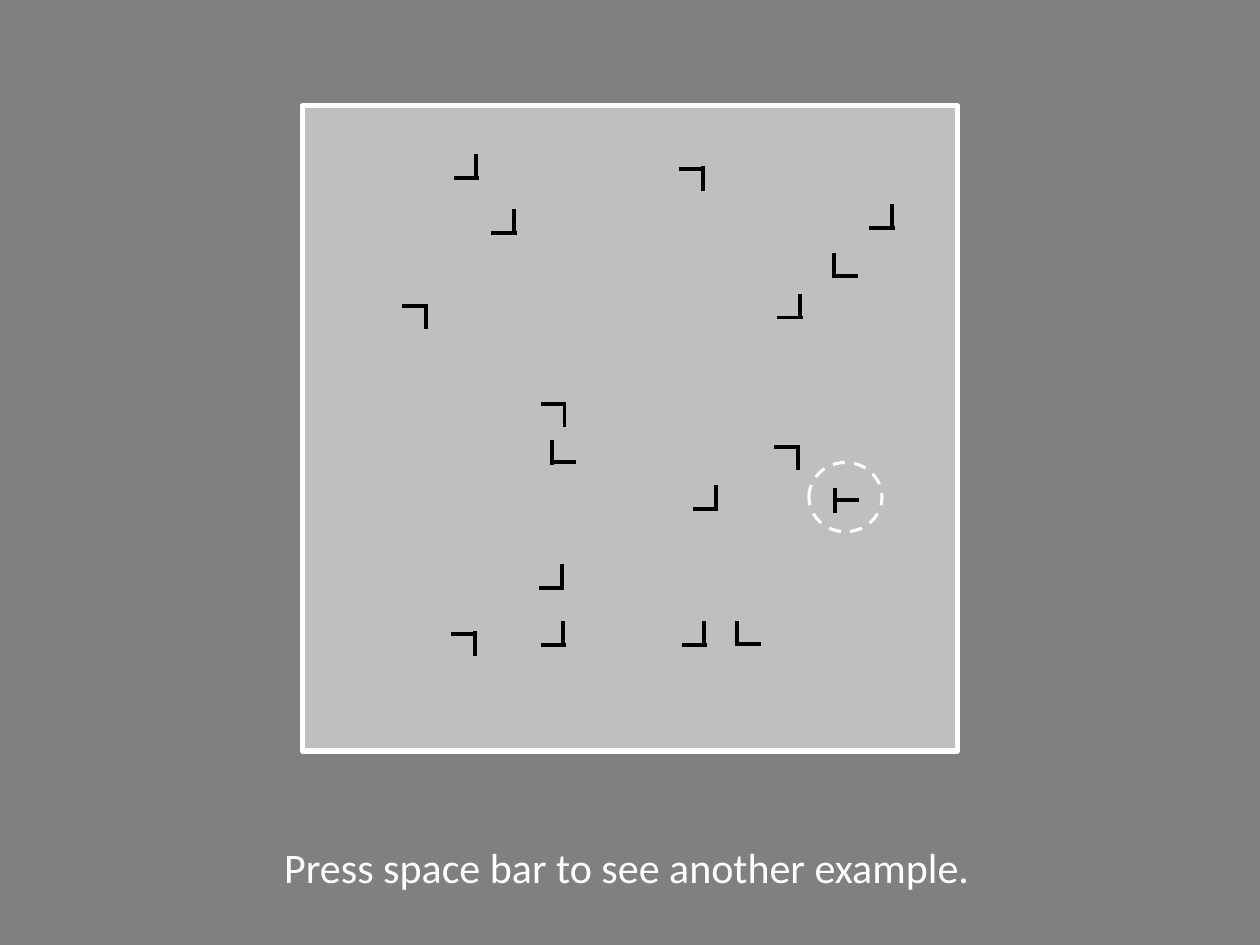
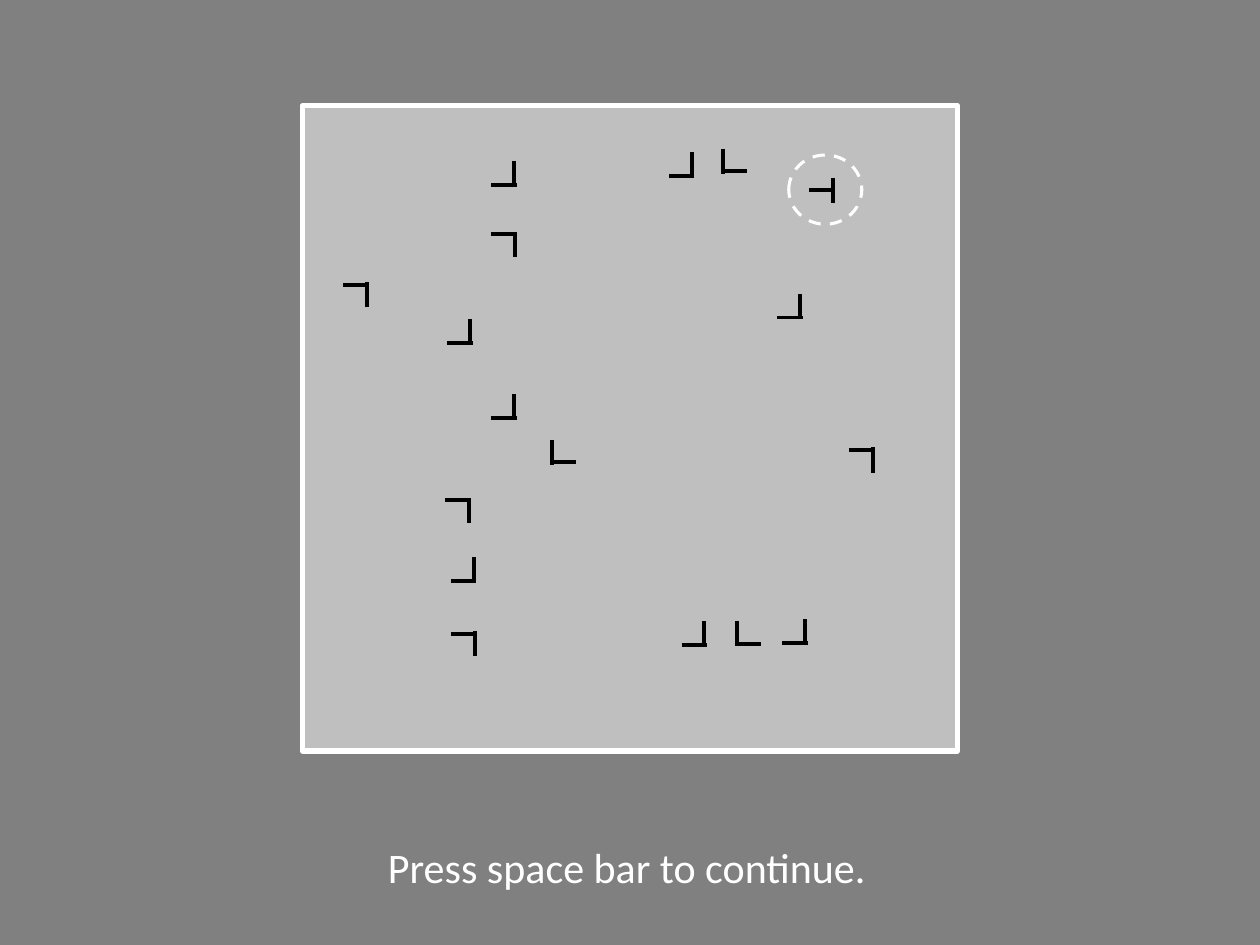
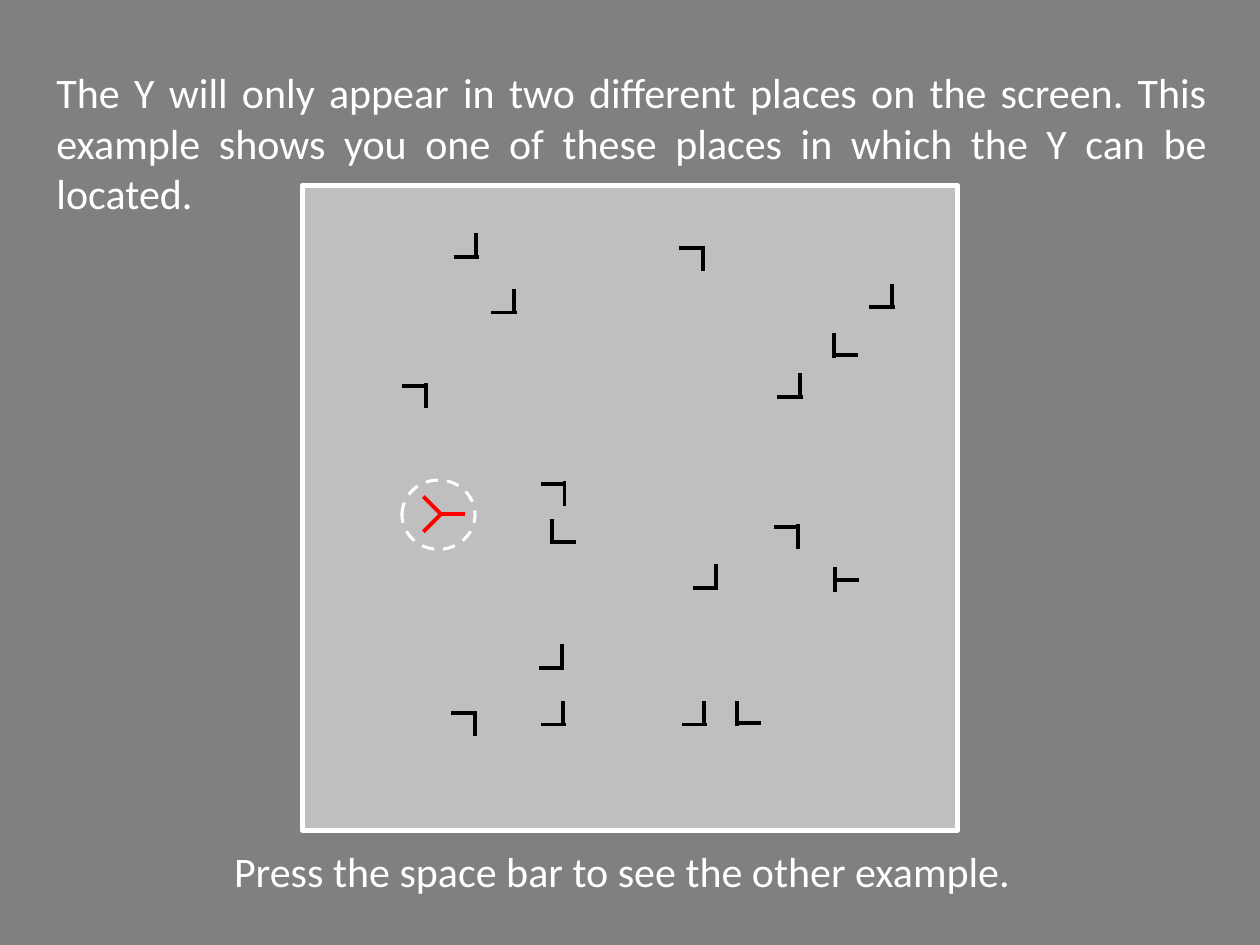
from dataclasses import dataclass

from lxml.etree import SubElement
from pptx import Presentation
from pptx.dml.color import RGBColor
from pptx.enum.dml import MSO_LINE
from pptx.enum.shapes import MSO_CONNECTOR, MSO_SHAPE
from pptx.enum.text import MSO_ANCHOR, MSO_AUTO_SIZE, PP_ALIGN
from pptx.oxml.ns import qn
from pptx.util import Inches, Pt


@dataclass(frozen=True)
class Theme:
    background: RGBColor = RGBColor(0x80, 0x80, 0x80)
    panel: RGBColor = RGBColor(0xBF, 0xBF, 0xBF)
    light: RGBColor = RGBColor(0xFF, 0xFF, 0xFF)
    mark: RGBColor = RGBColor(0, 0, 0)
    target: RGBColor = RGBColor(0xFF, 0, 0)
    font: str = "Calibri"
    text_size: Pt = Pt(24)
    panel_line: Pt = Pt(3)
    ring_line: Pt = Pt(1.75)
    mark_line: Pt = Pt(2.25)


THEME = Theme()
CELL = Inches(0.01)
COLUMNS, ROWS = 1000, 750
PANEL_LEFT, PANEL_TOP, PANEL_SIZE = 240, 84, (520, 512)
LOW_PANEL_TOP = 147
RING_SIZE = (58, 55)
TEXT_WIDTH, PROMPT_LEFT, PROMPT_HEIGHT = 933, 31, 50

STROKES = {
    "┐": [(20, 2, 0, 2), (19, 20, 19, 0)],
    "┘": [(18, 20, 18, 0), (0, 19, 20, 19)],
    "└": [(0, 18, 20, 18), (1, 0, 1, 20)],
    "├": [(0, 10, 20, 10), (1, 0, 1, 20)],
    "┤": [(20, 10, 0, 10), (19, 0, 19, 20)],
    "Y": [(13, 14, 33, 14), (14, 14, 0, 0), (0, 28, 14, 14)],
}

FIRST_DISPLAY = {
    "┐": [(79, 157), (299, 48), (189, 235), (374, 269), (118, 417)],
    "┘": [(120, 38), (450, 78), (310, 301), (188, 364), (189, 409),
          (301, 409), (150, 82), (377, 149)],
    "└": [(421, 117), (344, 409), (197, 265)],
    "├": [(422, 303)],
}
SECOND_DISPLAY = {
    "┐": [(32, 140), (434, 271), (150, 100), (113, 311), (118, 417)],
    "┘": [(150, 44), (291, 37), (381, 407), (118, 358), (150, 229),
          (301, 409), (115, 169), (377, 149)],
    "└": [(333, 34), (344, 409), (197, 265)],
    "┤": [(402, 57)],
}
Y_DISPLAY = {**FIRST_DISPLAY, "Y": [(96, 247)]}


def cells(*values):
    return [v * CELL for v in values]


def add_outlined(s, kind, box, width):
    sp = s.shapes.add_shape(kind, *cells(*box))
    sp.shadow.inherit = False
    sp.line.color.rgb = THEME.light
    sp.line.width = width
    return sp


def add_mark(s, kind, left, top):
    group = s.shapes.add_group_shape()
    for x1, y1, x2, y2 in STROKES[kind]:
        ends = cells(left + x1, top + y1, left + x2, top + y2)
        line = group.shapes.add_connector(MSO_CONNECTOR.STRAIGHT, *ends)
        line.line.color.rgb = THEME.target if kind == "Y" else THEME.mark
        line.line.width = THEME.mark_line
        SubElement(line._element.spPr, qn("a:effectLst"))


def add_display(s, top, marks, ring):
    panel = add_outlined(s, MSO_SHAPE.RECTANGLE, (PANEL_LEFT, top, *PANEL_SIZE), THEME.panel_line)
    panel.fill.solid()
    panel.fill.fore_color.rgb = THEME.panel
    for kind, places in marks.items():
        for x, y in places:
            add_mark(s, kind, PANEL_LEFT + x, top + y)
    ring_box = (PANEL_LEFT + ring[0], top + ring[1], *RING_SIZE)
    circle = add_outlined(s, MSO_SHAPE.OVAL, ring_box, THEME.ring_line)
    circle.fill.background()
    circle.line.dash_style = MSO_LINE.DASH


def write_text(sp, box, text, align):
    sp.left, sp.top, sp.width, sp.height = cells(*box)
    tf = sp.text_frame
    tf.word_wrap = True
    tf.auto_size = MSO_AUTO_SIZE.NONE
    tf.vertical_anchor = MSO_ANCHOR.TOP
    p = tf.paragraphs[0]
    p.text = text
    p.alignment = align
    p.font.name = THEME.font
    p.font.size = THEME.text_size
    p.font.color.rgb = THEME.light


def add_example(prs, prompt, marks, ring, top=PANEL_TOP, prompt_top=663):
    s = prs.slides.add_slide(prs.slide_layouts[5])
    prompt_box = (PROMPT_LEFT, prompt_top, TEXT_WIDTH, PROMPT_HEIGHT)
    write_text(s.shapes.title, prompt_box, prompt, PP_ALIGN.CENTER)
    add_display(s, top, marks, ring)
    return s


def add_instruction(s, text):
    box = (35, 48, TEXT_WIDTH, 131)
    write_text(s.shapes.add_textbox(*cells(*box)), box, text, PP_ALIGN.JUSTIFY)


def main():
    prs = Presentation()
    prs.slide_width, prs.slide_height = cells(COLUMNS, ROWS)
    fill = prs.slide_master.background.fill
    fill.solid()
    fill.fore_color.rgb = THEME.background

    add_example(prs, "Press space bar to see another example.", FIRST_DISPLAY, (402, 283))
    add_example(prs, "Press space bar to continue.", SECOND_DISPLAY, (386, 39))
    s = add_example(prs, "Press the space bar to see the other example. ", Y_DISPLAY,
                    (79, 234), LOW_PANEL_TOP, 666)
    add_instruction(s, "The Y will only appear in two different places on the screen. "
                       "This example shows you one of these places in which the Y can be located.")
    prs.save("out.pptx")


if __name__ == "__main__":
    main()
